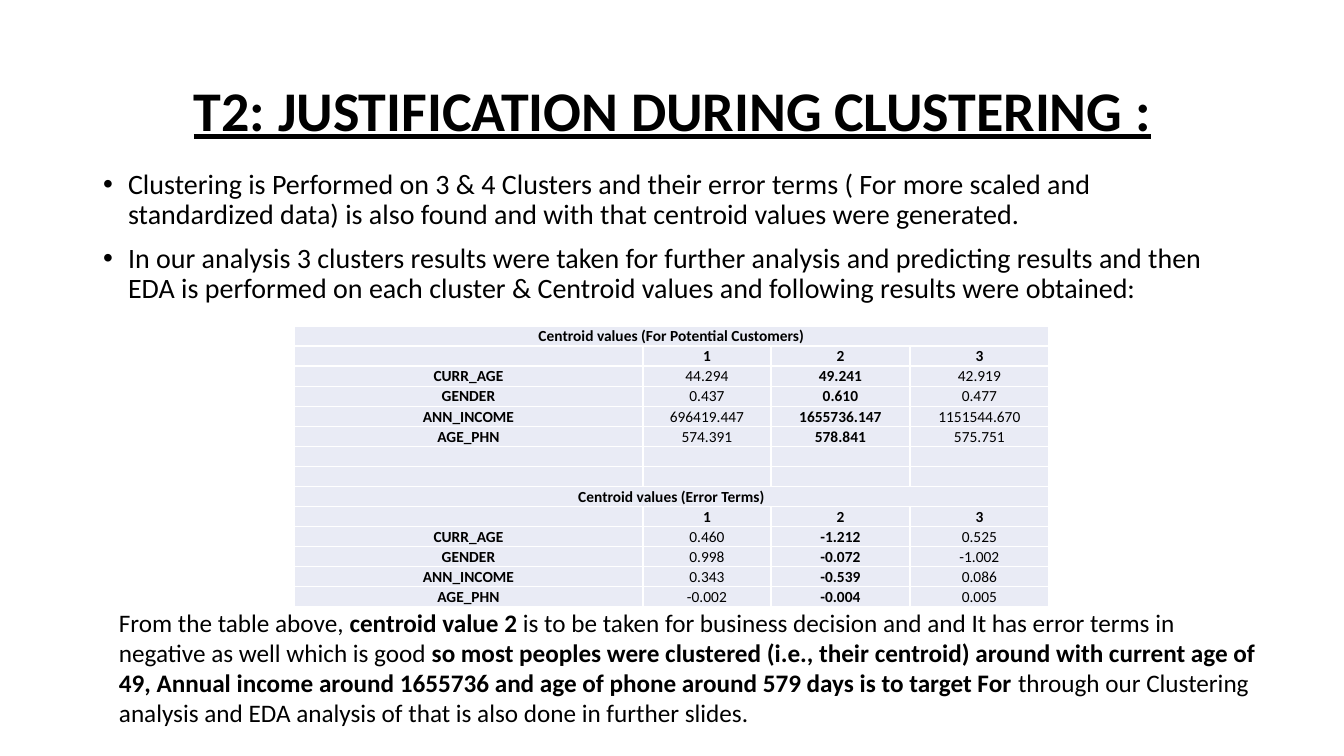
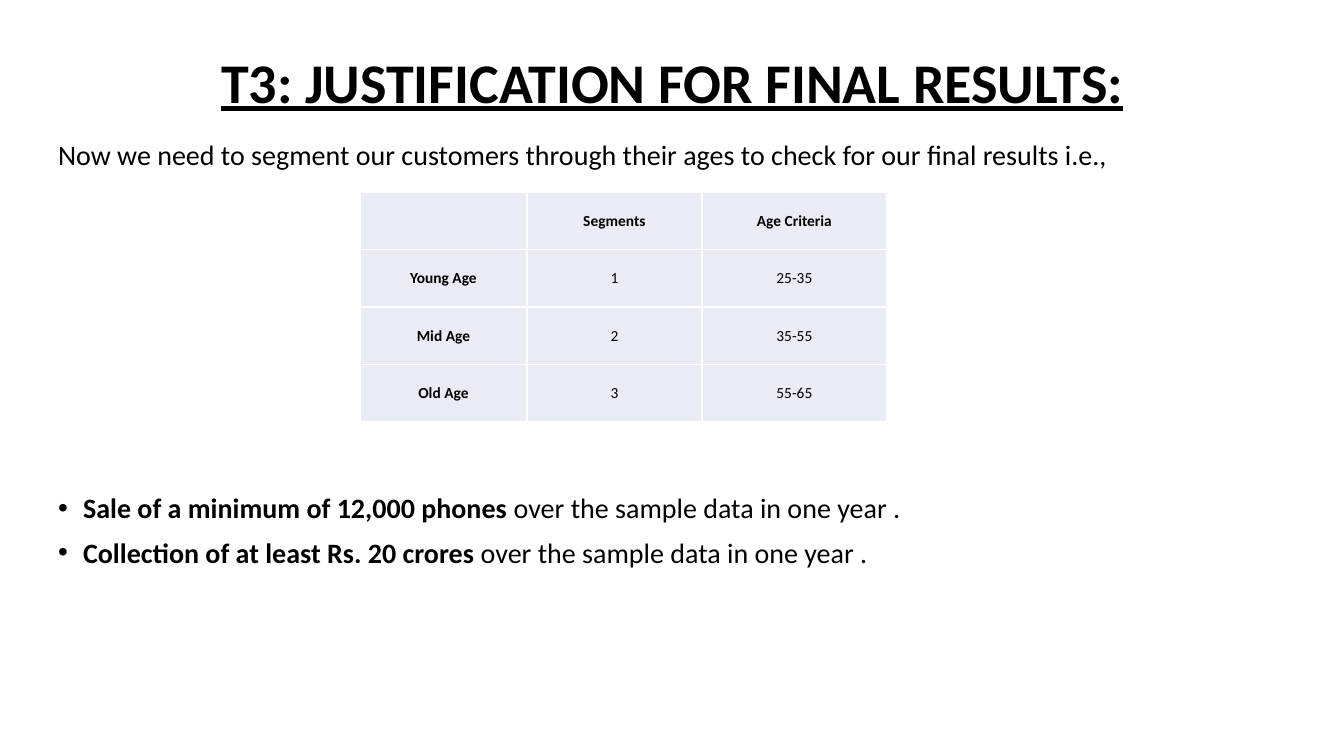
import pptx
import pptx.dml.color
import pptx.enum.text
import pptx.oxml
import pptx.oxml.ns
import pptx.util

BLACK = pptx.dml.color.RGBColor(0x00, 0x00, 0x00)
PALE_BLUE = pptx.dml.color.RGBColor(0xE9, 0xEB, 0xF5)
FONT = "Calibri"
TITLE_SIZE, LIST_SIZE, NOTE_SIZE, TABLE_SIZE = 40, 20, 18, 11
INDENT = 25
ANCHOR = pptx.enum.text.MSO_ANCHOR
CENTER = pptx.enum.text.PP_ALIGN.CENTER
FIT = pptx.enum.text.MSO_AUTO_SIZE


def px(count):
    return pptx.util.Emu(round(count * 914400 / 100.8))


class Deck:
    """Holds the shared style and the slide being filled."""

    def __init__(self):
        self.deck = pptx.Presentation()
        self.deck.slide_width, self.deck.slide_height = px(1344), px(756)
        self.page = None

    def place(self, box, left, top, width, height):
        box.left, box.top = px(left), px(top)
        box.width, box.height = px(width), px(height)

    def style(self, span, size, bold=False):
        span.font.name = FONT
        span.font.size = pptx.util.Pt(size)
        span.font.bold = bold
        span.font.color.rgb = BLACK

    def add_spans(self, para, text, size):
        for index, part in enumerate(text.split("*")):
            if part:
                span = para.add_run()
                span.text = part
                self.style(span, size, bold=index % 2 == 1)

    def bullet(self, para, shown):
        properties = para._p.get_or_add_pPr()
        properties.set("marL", str(px(INDENT) if shown else 0))
        properties.set("indent", str(-px(INDENT) if shown else 0))
        marks = ['buFont {} typeface="Arial"', 'buChar {} char="\u2022"'] if shown else ["buNone {}"]
        for mark in marks:
            tag = mark.format(pptx.oxml.ns.nsdecls("a"))
            properties.append(pptx.oxml.parse_xml(f"<a:{tag}/>"))

    def title(self, text, top):
        self.page = self.deck.slides.add_slide(self.deck.slide_layouts[1])
        box = self.page.shapes.title
        self.place(box, 93, top, 1159, 146)
        frame = box.text_frame
        frame.text = text
        frame.auto_size = FIT.NONE
        frame.vertical_anchor = ANCHOR.MIDDLE
        para = frame.paragraphs[0]
        para.alignment = CENTER
        para.line_spacing = 0.9
        self.style(para.runs[0], TITLE_SIZE, bold=True)
        para.runs[0].font.underline = True

    def body(self, place, items):
        box = self.page.placeholders[1]
        self.place(box, *place)
        frame = box.text_frame
        frame.auto_size = FIT.NONE
        for index, (text, bulleted, gap) in enumerate(items):
            para = frame.add_paragraph() if index else frame.paragraphs[0]
            para.line_spacing = 0.9
            para.space_before = pptx.util.Pt(gap)
            self.bullet(para, bulleted)
            self.add_spans(para, text, LIST_SIZE)

    def note(self, place, text):
        box = self.page.shapes.add_textbox(*map(px, place))
        frame = box.text_frame
        frame.word_wrap = True
        frame.auto_size = FIT.SHAPE_TO_FIT_TEXT
        self.add_spans(frame.paragraphs[0], text, NOTE_SIZE)

    def table(self, left, top, widths, height, rows, bold_rows, bold_columns, anchor):
        frame = self.page.shapes.add_table(
            len(rows), len(widths), px(left), px(top), px(sum(widths)), px(height))
        grid = frame.table
        grid.first_row = grid.horz_banding = False
        for column, width in zip(grid.columns, widths):
            column.width = px(width)
        for r, values in enumerate(rows):
            grid.rows[r].height = px(height / len(rows))
            for c in range(len(widths)):
                text = values[c] if c < len(values) else ""
                bold = r in bold_rows or c in bold_columns
                self.cell(grid.cell(r, c), text, bold, anchor)
            if len(values) == 1:
                grid.cell(r, 0).merge(grid.cell(r, len(widths) - 1))

    def cell(self, cell, text, bold, anchor):
        cell.fill.solid()
        cell.fill.fore_color.rgb = PALE_BLUE
        cell.vertical_anchor = anchor
        cell.margin_left = cell.margin_right = cell.margin_top = px(1)
        cell.margin_bottom = 0
        para = cell.text_frame.paragraphs[0]
        para.alignment = CENTER
        if text:
            para.text = text
            self.style(para.runs[0], TABLE_SIZE, bold)
        else:
            para._p.get_or_add_endParaRPr().set("sz", str(TABLE_SIZE * 100))


show = Deck()

show.title("T2: JUSTIFICATION DURING CLUSTERING :", 40)
show.body((93, 165, 1159, 591), [
    ("Clustering is Performed on 3 & 4 Clusters and their error terms ( For more scaled and "
     "standardized data) is also found and with that centroid values were generated.", True, 10),
    ("In our analysis 3 clusters results were taken for further analysis and predicting results "
     "and then EDA is performed on each cluster & Centroid values and following results were "
     "obtained:", True, 10),
])
cluster_numbers = ["", "1", "2", "3"]
centroid_rows = [
    ["Centroid values (For Potential Customers)"],
    cluster_numbers,
    ["CURR_AGE", "44.294", "49.241", "42.919"],
    ["GENDER", "0.437", "0.610", "0.477"],
    ["ANN_INCOME", "696419.447", "1655736.147", "1151544.670"],
    ["AGE_PHN", "574.391", "578.841", "575.751"],
    [],
    [],
    ["Centroid values (Error Terms)"],
    cluster_numbers,
    ["CURR_AGE", "0.460", "-1.212", "0.525"],
    ["GENDER", "0.998", "-0.072", "-1.002"],
    ["ANN_INCOME", "0.343", "-0.539", "0.086"],
    ["AGE_PHN", "-0.002", "-0.004", "0.005"],
]
show.table(294, 326, [349, 128, 139, 139], 270, centroid_rows, (0, 1, 8, 9), (0, 2), ANCHOR.BOTTOM)
show.note((109, 602, 1159, 132),
          "From the table above, *centroid value 2* is to be taken for business decision and and It "
          "has error terms in negative as well which is good *so most peoples were clustered (i.e., "
          "their centroid) around with current age of 49, Annual income around 1655736 and age of "
          "phone around 579 days is to target For* through our Clustering analysis and EDA analysis "
          "of that is also done in further slides.")

show.title("T3: JUSTIFICATION FOR FINAL RESULTS:", 12)
show.body((48, 136, 1275, 608), [
    ("Now we need to segment our customers through their ages to check for our final results i.e.,",
     False, 10),
    ("*Sale of a minimum of 12,000 phones *over the sample data in one year .", True, 231),
    ("*Collection of at least Rs. 20 crores* over the sample data in one year .", True, 10),
])
segment_rows = [
    ["", "Segments", "Age Criteria"],
    ["Young Age", "1", "25-35"],
    ["Mid Age", "2", "35-55"],
    ["Old Age", "3", "55-65"],
]
show.table(360, 192, [167, 175, 185], 230, segment_rows, (0,), (0,), ANCHOR.MIDDLE)

show.deck.save("out.pptx")
